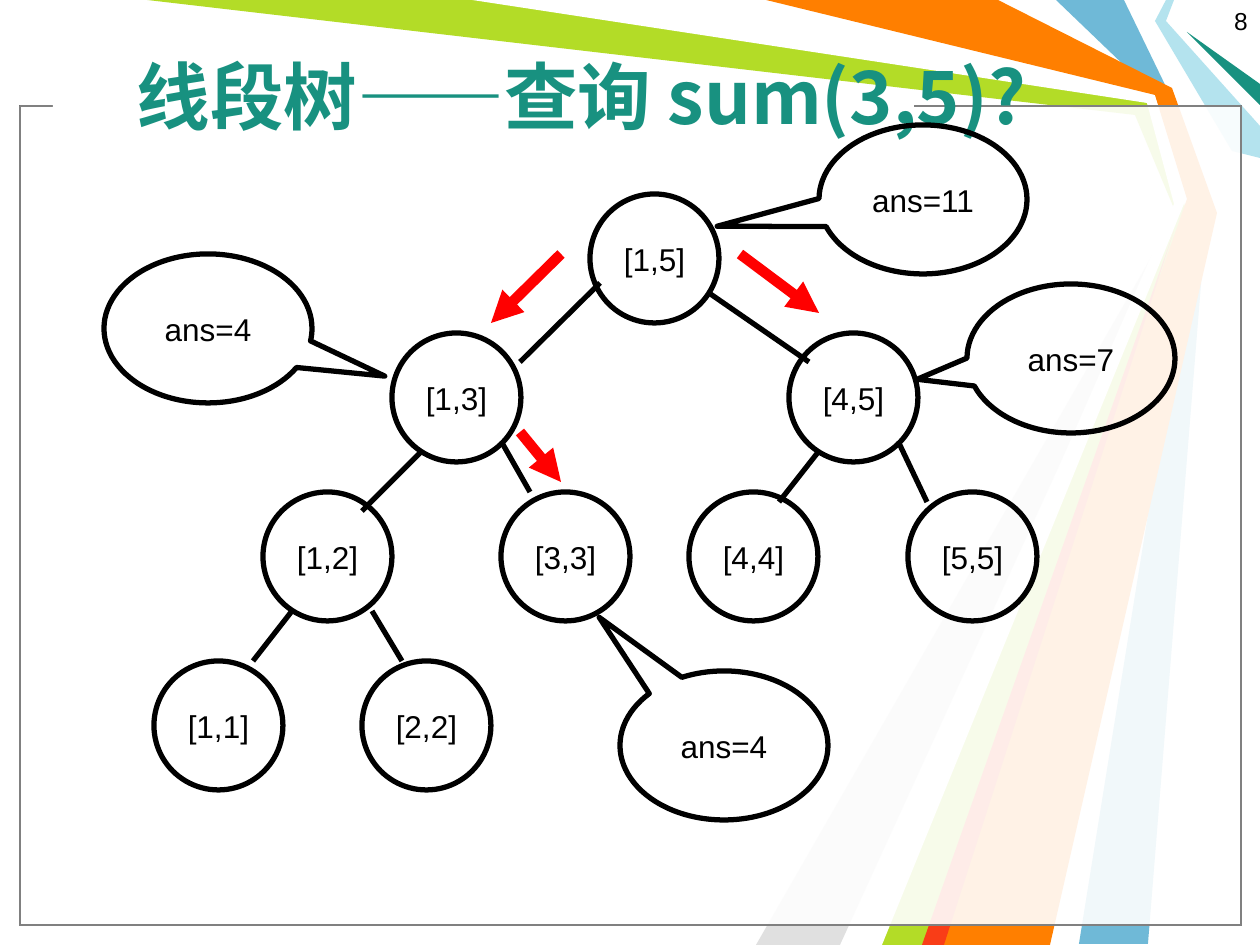
from dataclasses import dataclass

from lxml import etree
from pptx import Presentation
from pptx.dml.color import RGBColor
from pptx.enum.shapes import MSO_CONNECTOR, MSO_SHAPE
from pptx.enum.text import MSO_ANCHOR, PP_ALIGN
from pptx.oxml.ns import qn
from pptx.util import Pt

PX = 914400 / 126
STRAIGHT = MSO_CONNECTOR.STRAIGHT
RECTANGLE, OVAL = MSO_SHAPE.RECTANGLE, MSO_SHAPE.OVAL
CALLOUT = MSO_SHAPE.OVAL_CALLOUT
LEFT, CENTER, RIGHT = PP_ALIGN.LEFT, PP_ALIGN.CENTER, PP_ALIGN.RIGHT
MIDDLE = MSO_ANCHOR.MIDDLE


@dataclass(frozen=True)
class Theme:
    """Colours, fonts and type sizes of the slide."""
    ink: str = "000000"
    paper: str = "FFFFFF"
    frame: str = "808080"
    teal: str = "189180"
    blue: str = "6FB9D7"
    pale_blue: str = "B4E3EE"
    green: str = "B3DC27"
    grey: str = "E0E0E0"
    orange: str = "FF7F00"
    red: str = "F93D17"
    arrow: str = "FF0000"
    title_font: str = "Noto Sans CJK SC"
    body_font: str = "Arial"
    title_size: int = 42
    body_size: int = 18
    number_size: int = 14


THEME = Theme()

RIBBONS = [
    (THEME.blue, [(1124, 0), (1171, 97), (1207, 210), (1148, 944), (1079, 944),
                  (1197, 210), (1155, 95), (1056, 0)]),
    (THEME.green, [(147, 0), (483, 0), (1152, 98), (1187, 213), (935, 945),
                   (872, 945), (1178, 218), (1135, 115)]),
    (THEME.grey, [(840, 945), (1168, 228), (756, 945)]),
    (THEME.paper, [(472, 0), (1147, 103), (1174, 204), (850, 945), (882, 945),
                   (1186, 199), (1155, 95), (756, 0)]),
    (THEME.pale_blue, [(1166, 0), (1155, 21), (1232, 151), (1260, 158),
                       (1260, 126), (1166, 21), (1174, 0)]),
    (THEME.teal, [(1260, 105), (1187, 32), (1260, 84)]),
    (THEME.orange, [(766, 0), (998, 0), (1172, 88), (1217, 213), (1050, 945),
                    (924, 945), (1187, 199), (1155, 95)]),
    (THEME.red, [(922, 945), (1174, 231), (944, 945)]),
]

NODE_SIZE = 129
NODE_LEVELS = [
    (0, [("[1,5]", 436)]),
    (139, [("[1,3]", 238), ("[4,5]", 635)]),
    (298, [("[1,2]", 109), ("[3,3]", 347), ("[4,4]", 535), ("[5,5]", 754)]),
    (467, [("[1,1]", 0), ("[2,2]", 208)]),
]
BRANCHES = [
    (446, 89, 366, 168), (555, 99, 655, 168), (268, 257, 208, 317),
    (347, 247, 376, 298), (665, 257, 625, 308), (744, 247, 773, 308),
    (138, 417, 99, 467), (218, 417, 248, 467),
]
VISITS = [(407, 60, 337, 129), (366, 238, 407, 288), (586, 60, 665, 119)]

ANSWER_SIZE = (208, 149)
ANSWERS = [
    ("ans=4", 516, 546, (-0.6, -0.86)),
    ("ans=4", 0, 129, (0.85, 0.32)),
    ("ans=7", 863, 159, (-0.74, 0.14)),
    ("ans=11", 715, 0, (-0.99, 0.18)),
]


def emu(*lengths):
    """Turn px lengths into EMU."""
    return [round(length * PX) for length in lengths]


def color(value):
    """Turn a hex string into a colour."""
    return RGBColor.from_string(value)


def set_text(shape, text, size, align, font=THEME.body_font, ink=THEME.ink, bold=False):
    """Write one formatted paragraph into a shape."""
    shape.text_frame.text = text
    para = shape.text_frame.paragraphs[0]
    para.alignment = align
    for span in para.runs:
        span.font.name, span.font.size, span.font.bold = font, Pt(size), bold
        span.font.color.rgb = color(ink)
        east_asian = etree.SubElement(span.font._element, qn("a:ea"))
        east_asian.set("typeface", font)


def set_style(shape, fill=None, line=None, width=0.75, opacity=100):
    """Give a shape a flat fill and outline."""
    shape.shadow.inherit = False
    if fill:
        shape.fill.solid()
        shape.fill.fore_color.rgb = color(fill)
        if opacity < 100:
            tint = shape.fill._xPr.find(qn("a:solidFill"))[0]
            etree.SubElement(tint, qn("a:alpha")).set("val", str(opacity * 1000))
    else:
        shape.fill.background()
    if line:
        shape.line.color.rgb = color(line)
        shape.line.width = Pt(width)
    else:
        shape.line.fill.background()


def add_line(shapes, box, ends, ink, width, arrow=False):
    """Draw a straight line relative to the box."""
    left, top = box[:2]
    x1, y1, x2, y2 = ends
    line = shapes.add_connector(STRAIGHT, *emu(left + x1, top + y1, left + x2, top + y2))
    line.line.color.rgb = color(ink)
    line.line.width = Pt(width)
    if arrow:
        etree.SubElement(line.line._get_or_add_ln(), qn("a:tailEnd")).set("type", "triangle")
    etree.SubElement(line._element.spPr, qn("a:effectLst"))


def add_label_shape(shapes, kind, bounds, text):
    """Draw an outlined shape with a centred label."""
    shape = shapes.add_shape(kind, *emu(*bounds))
    set_style(shape, line=THEME.ink, width=3)
    set_text(shape, text, THEME.body_size, CENTER)
    shape.text_frame.word_wrap = False
    shape.text_frame.vertical_anchor = MIDDLE
    return shape


def add_backdrop(page, box):
    """Draw the ribbons and the translucent panel over them."""
    left, top = box[:2]
    for fill, corners in RIBBONS:
        points = [(left + x, top + y) for x, y in corners]
        builder = page.shapes.build_freeform(*points[0], scale=PX)
        builder.add_line_segments(points[1:], close=True)
        set_style(builder.convert_to_shape(), fill)
    for line in (THEME.ink, THEME.frame):
        panel = page.shapes.add_shape(RECTANGLE, *emu(left + 20, top + 106, 1221, 819))
        set_style(panel, THEME.paper, line, opacity=69)
    gap = page.shapes.add_shape(RECTANGLE, *emu(left + 53, top + 93, 861, 21))
    set_style(gap, THEME.paper)


def add_number(page, box, text):
    """Write the page number."""
    number = page.shapes.add_textbox(*emu(*box))
    number.text_frame.word_wrap = True
    set_text(number, text, THEME.number_size, RIGHT)


def add_title(page, box, text):
    """Place the title in front of the backdrop."""
    title = page.shapes.title
    title.left, title.top, title.width, title.height = emu(*box)
    title.element.getparent().append(title.element)
    set_text(title, text, THEME.title_size, LEFT, THEME.title_font, THEME.teal, True)
    title.text_frame.vertical_anchor = MIDDLE


def add_tree(page, box):
    """Draw the segment tree and the arrows of the query."""
    left, top = box[:2]
    tree = page.shapes.add_group_shape()
    for level, nodes in NODE_LEVELS:
        for text, offset in nodes:
            bounds = (left + offset, top + level, NODE_SIZE, NODE_SIZE)
            add_label_shape(tree.shapes, OVAL, bounds, text)
    for ends in BRANCHES:
        add_line(tree.shapes, box, ends, THEME.ink, 3)
    for ends in VISITS:
        add_line(page.shapes, box, ends, THEME.arrow, 6, arrow=True)


def add_answers(page, box):
    """Draw the callouts with partial sums."""
    left, top = box[:2]
    for text, x, y, tip in ANSWERS:
        callout = add_label_shape(page.shapes, CALLOUT, (left + x, top + y, *ANSWER_SIZE), text)
        callout.adjustments[0], callout.adjustments[1] = tip


def main():
    """Build the deck."""
    deck = Presentation()
    deck.slide_width, deck.slide_height = emu(1260, 945)
    page = deck.slides.add_slide(deck.slide_layouts[5])
    add_backdrop(page, (0, 0, 1260, 945))
    add_number(page, (966, 0, 294, 66), "8")
    add_title(page, (124, 16, 960, 158), "线段树——查询 sum(3,5)?")
    add_tree(page, (154, 194, 883, 596))
    add_answers(page, (104, 125, 1071, 695))
    deck.save("out.pptx")


if __name__ == "__main__":
    main()
